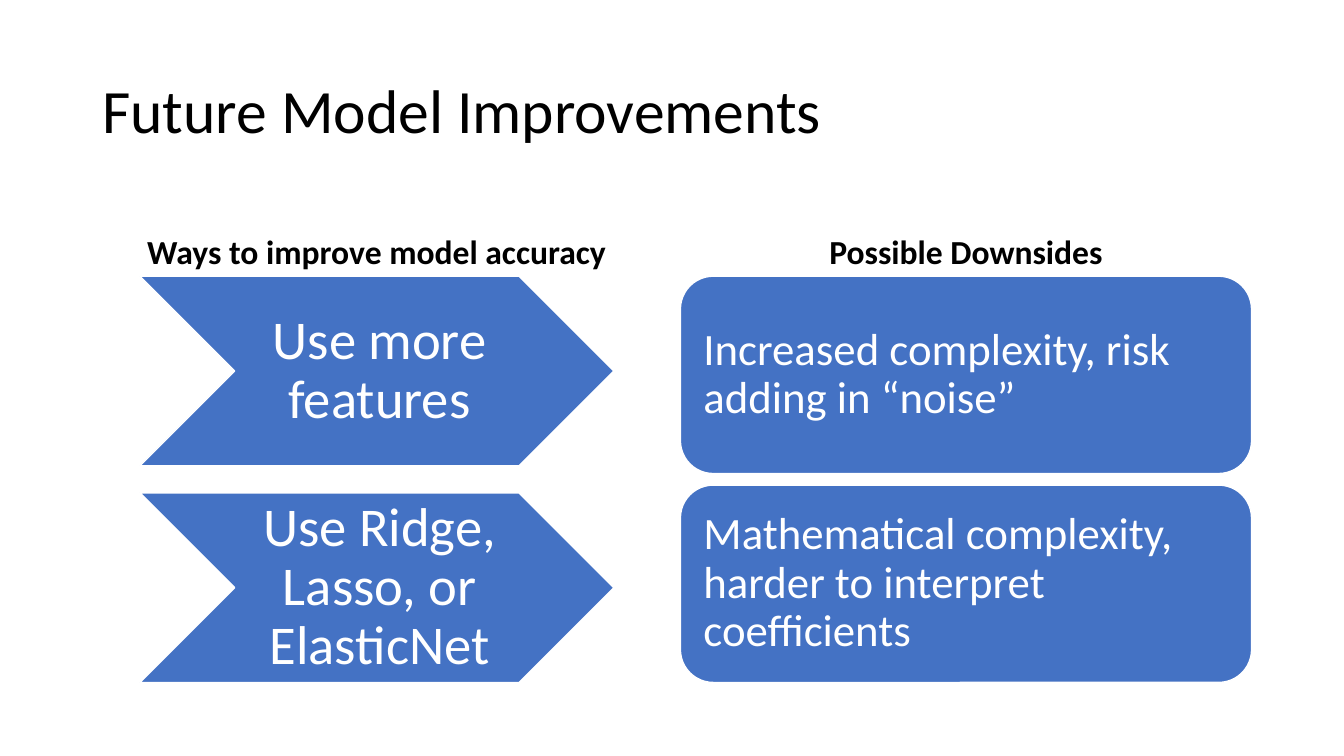
from pptx import Presentation
from pptx.dml.color import RGBColor
from pptx.enum.shapes import MSO_SHAPE
from pptx.enum.text import MSO_ANCHOR, PP_ALIGN
from pptx.util import Pt

THEME = {
    "font": "Calibri",
    "ink": RGBColor(0, 0, 0),
    "paper": RGBColor(255, 255, 255),
    "accent": RGBColor(0x44, 0x72, 0xC4),
    "title": Pt(44),
    "heading": Pt(24),
    "chevron": Pt(39),
    "card": Pt(32),
}


def write_text(shape, text, size, color, align, anchor, margins=(7.2, 3.6, 7.2, 3.6), bold=False):
    frame = shape.text_frame
    frame.word_wrap = True
    frame.vertical_anchor = anchor
    for side, margin in zip(("left", "top", "right", "bottom"), margins):
        setattr(frame, f"margin_{side}", Pt(margin))
    paragraph = frame.paragraphs[0]
    paragraph.text = text
    paragraph.alignment = align
    paragraph.line_spacing = 0.9
    font_format = {"name": THEME["font"], "size": THEME[size], "bold": bold}
    for name, value in font_format.items():
        setattr(paragraph.font, name, value)
    paragraph.font.color.rgb = color


presentation = Presentation()
presentation.slide_width = Pt(960)
presentation.slide_height = Pt(540)
slide = presentation.slides.add_slide(presentation.slide_layouts[6])

# Title
title = slide.shapes.add_textbox(Pt(66), Pt(28.8), Pt(828), Pt(104.4))
write_text(title, "Future Model Improvements", "title", THEME["ink"],
           PP_ALIGN.LEFT, MSO_ANCHOR.MIDDLE)

# Two columns: a heading above two stacked shapes
top = 197.3
columns = [
    {
        "heading": ("Ways to improve model accuracy", 66, 406.1),
        "preset": MSO_SHAPE.CHEVRON,
        "box": (100, 338.5, 135.4),
        "pitch": 154.8,
        "size": "chevron",
        "align": PP_ALIGN.CENTER,
        "margins": (3.9, 1.95, 0, 1.95),
        "texts": ["Use more features", "Use Ridge, Lasso, or ElasticNet"],
    },
    {
        "heading": ("Possible Downsides", 486, 408),
        "preset": MSO_SHAPE.ROUNDED_RECTANGLE,
        "box": (486, 408, 141),
        "pitch": 149.2,
        "size": "card",
        "align": PP_ALIGN.LEFT,
        "margins": (9.6, 9.6, 9.6, 9.6),
        "texts": ["Increased complexity, risk adding in “noise”",
                  "Mathematical complexity, harder to interpret coefficients"],
    },
]

for column in columns:
    text, left, width = column["heading"]
    heading = slide.shapes.add_textbox(Pt(left), Pt(132.4), Pt(width), Pt(64.9))
    write_text(heading, text, "heading", THEME["ink"],
               PP_ALIGN.CENTER, MSO_ANCHOR.BOTTOM, bold=True)

    left, width, height = column["box"]
    for row, text in enumerate(column["texts"]):
        shape = slide.shapes.add_shape(column["preset"], Pt(left), Pt(top + row * column["pitch"]),
                                       Pt(width), Pt(height))
        shape.shadow.inherit = False
        shape.fill.solid()
        shape.fill.fore_color.rgb = THEME["accent"]
        shape.line.color.rgb = THEME["paper"]
        shape.line.width = Pt(1)
        write_text(shape, text, column["size"], THEME["paper"], column["align"],
                   MSO_ANCHOR.MIDDLE, column["margins"])

presentation.save("out.pptx")
